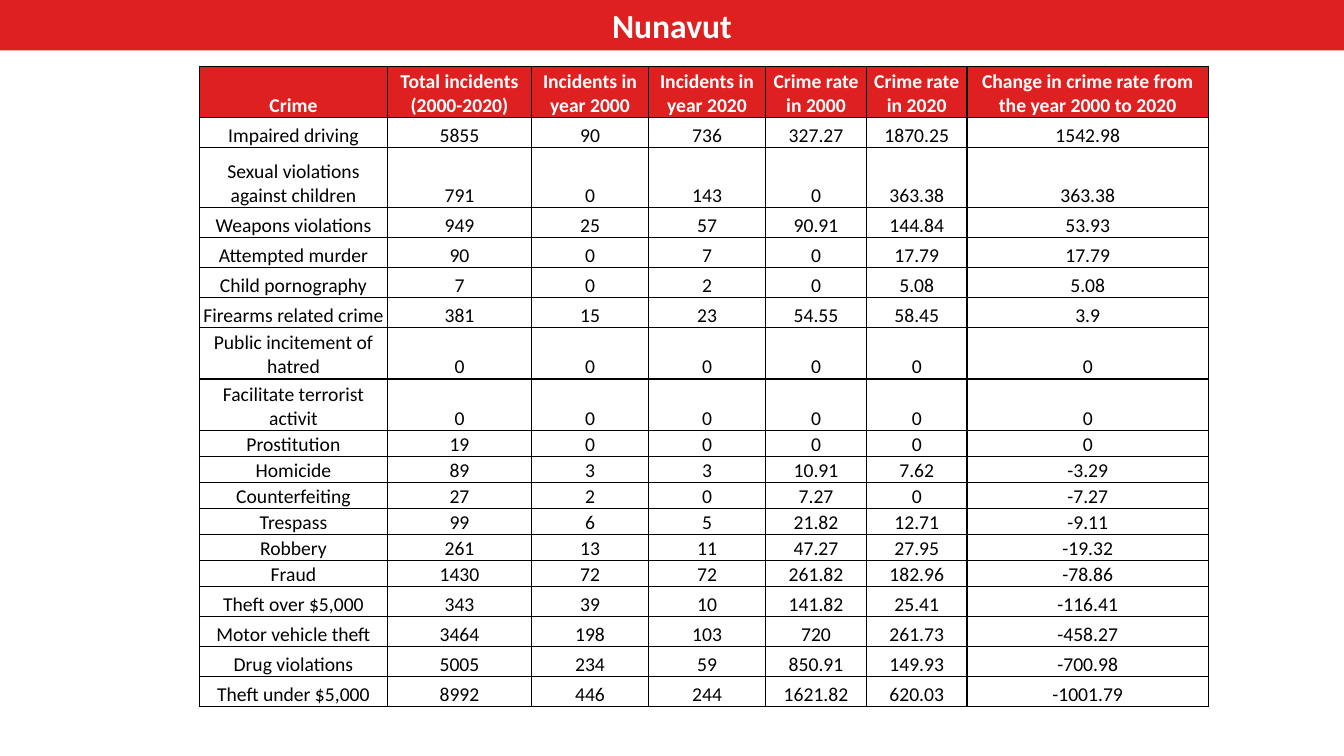
"""Build the Nunavut crime statistics slide."""

import dataclasses
import typing

import lxml.etree
import pptx
import pptx.dml.color
import pptx.enum.text
import pptx.oxml.ns
import pptx.util

COLOURS = {"red": "DF2020", "white": "FFFFFF", "black": "000000"}
FONT_NAME = "Calibri"
SLIDE_WIDTH, SLIDE_HEIGHT = 960, 540
TITLE_HEIGHT = 36
TABLE_LEFT, TABLE_TOP = 142.5, 47.5
COLUMN_WIDTHS = [134.3, 102.9, 83.6, 83.6, 72.1, 71.8, 172.5]
HEADER_HEIGHT, TALL, ROOMY, COMPACT = 36.6, 42.6, 21.5, 18.6
HEADINGS = (
    "Crime",
    "Total incidents (2000-2020)",
    "Incidents in year 2000",
    "Incidents in year 2020",
    "Crime rate in 2000",
    "Crime rate in 2020",
    "Change in crime rate from the year 2000 to 2020",
)
CELL_FORMAT = {
    "margin_left": pptx.util.Pt(0.75),
    "margin_right": pptx.util.Pt(0.75),
    "margin_top": pptx.util.Pt(0.75),
    "margin_bottom": pptx.util.Pt(0),
    "vertical_anchor": pptx.enum.text.MSO_ANCHOR.BOTTOM,
}


@dataclasses.dataclass(frozen=True)
class TableRow:
    """Values of one table row and its height in points."""

    height: float
    values: tuple[str | int | float, ...]


@dataclasses.dataclass(frozen=True)
class TextStyle:
    """Size, colour and weight of a text."""

    size: float
    colour: str
    bold: bool


TITLE_STYLE = TextStyle(24, "white", True)
HEADER_STYLE = TextStyle(14, "white", True)
BODY_STYLE = TextStyle(14, "black", False)

ROWS = [
    TableRow(HEADER_HEIGHT, HEADINGS),
    TableRow(ROOMY, ("Impaired driving", 5855, 90, 736, 327.27, 1870.25, 1542.98)),
    TableRow(TALL, ("Sexual violations against children", 791, 0, 143, 0, 363.38, 363.38)),
    TableRow(ROOMY, ("Weapons violations", 949, 25, 57, 90.91, 144.84, 53.93)),
    TableRow(ROOMY, ("Attempted murder", 90, 0, 7, 0, 17.79, 17.79)),
    TableRow(ROOMY, ("Child pornography", 7, 0, 2, 0, 5.08, 5.08)),
    TableRow(ROOMY, ("Firearms related crime", 381, 15, 23, 54.55, 58.45, 3.9)),
    TableRow(HEADER_HEIGHT, ("Public incitement of hatred", 0, 0, 0, 0, 0, 0)),
    TableRow(HEADER_HEIGHT, ("Facilitate terrorist activit", 0, 0, 0, 0, 0, 0)),
    TableRow(COMPACT, ("Prostitution", 19, 0, 0, 0, 0, 0)),
    TableRow(COMPACT, ("Homicide", 89, 3, 3, 10.91, 7.62, -3.29)),
    TableRow(COMPACT, ("Counterfeiting", 27, 2, 0, 7.27, 0, -7.27)),
    TableRow(COMPACT, ("Trespass", 99, 6, 5, 21.82, 12.71, -9.11)),
    TableRow(COMPACT, ("Robbery", 261, 13, 11, 47.27, 27.95, -19.32)),
    TableRow(COMPACT, ("Fraud", 1430, 72, 72, 261.82, 182.96, -78.86)),
    TableRow(ROOMY, ("Theft over $5,000", 343, 39, 10, 141.82, 25.41, -116.41)),
    TableRow(ROOMY, ("Motor vehicle theft", 3464, 198, 103, 720, 261.73, -458.27)),
    TableRow(ROOMY, ("Drug violations", 5005, 234, 59, 850.91, 149.93, -700.98)),
    TableRow(ROOMY, ("Theft under $5,000", 8992, 446, 244, 1621.82, 620.03, -1001.79)),
]


def apply_format(target: typing.Any, values: dict[str, typing.Any]) -> None:
    """Set each named attribute on the target."""
    for name, value in values.items():
        setattr(target, name, value)


def rgb(colour: str) -> pptx.dml.color.RGBColor:
    """Return the named colour."""
    return pptx.dml.color.RGBColor.from_string(COLOURS[colour])


def fill_solid(target: typing.Any, colour: str) -> None:
    """Fill a shape or cell with the named colour."""
    target.fill.solid()
    target.fill.fore_color.rgb = rgb(colour)


def write_text(text_frame: typing.Any, text: str, style: TextStyle) -> None:
    """Write one centred paragraph in the given style."""
    paragraph = text_frame.paragraphs[0]
    paragraph.alignment = pptx.enum.text.PP_ALIGN.CENTER
    run = paragraph.add_run()
    run.text = text
    apply_format(
        run.font,
        {"name": FONT_NAME, "size": pptx.util.Pt(style.size), "bold": style.bold},
    )
    run.font.color.rgb = rgb(style.colour)


def add_borders(cell: typing.Any) -> None:
    """Draw a thin black line on all four sides of a cell."""
    qualify = pptx.oxml.ns.qn
    properties = cell._tc.get_or_add_tcPr()
    for side in ("lnL", "lnR", "lnT", "lnB"):
        line = lxml.etree.SubElement(
            properties, qualify(f"a:{side}"), w=str(int(pptx.util.Pt(1)))
        )
        fill = lxml.etree.SubElement(line, qualify("a:solidFill"))
        lxml.etree.SubElement(fill, qualify("a:srgbClr"), val=COLOURS["black"])


def draw_title(slide: typing.Any, text: str) -> None:
    """Turn the title placeholder into a red bar across the top."""
    title = slide.shapes.title
    apply_format(
        title,
        {
            "left": pptx.util.Pt(0),
            "top": pptx.util.Pt(0),
            "width": pptx.util.Pt(SLIDE_WIDTH),
            "height": pptx.util.Pt(TITLE_HEIGHT),
        },
    )
    fill_solid(title, "red")
    apply_format(
        title.text_frame,
        {
            "auto_size": pptx.enum.text.MSO_AUTO_SIZE.NONE,
            "vertical_anchor": pptx.enum.text.MSO_ANCHOR.MIDDLE,
            "word_wrap": True,
        },
    )
    write_text(title.text_frame, text, TITLE_STYLE)


def draw_table(slide: typing.Any, rows: list[TableRow]) -> None:
    """Draw the crime table with its red header row."""
    table = slide.shapes.add_table(
        len(rows),
        len(COLUMN_WIDTHS),
        pptx.util.Pt(TABLE_LEFT),
        pptx.util.Pt(TABLE_TOP),
        pptx.util.Pt(sum(COLUMN_WIDTHS)),
        pptx.util.Pt(sum(row.height for row in rows)),
    ).table
    table.horz_banding = False
    for column, width in zip(table.columns, COLUMN_WIDTHS):
        column.width = pptx.util.Pt(width)
    for row_index, row in enumerate(rows):
        table.rows[row_index].height = pptx.util.Pt(row.height)
        is_header = row_index == 0
        for column_index, value in enumerate(row.values):
            cell = table.cell(row_index, column_index)
            apply_format(cell, CELL_FORMAT)
            add_borders(cell)
            fill_solid(cell, "red" if is_header else "white")
            write_text(cell.text_frame, str(value), HEADER_STYLE if is_header else BODY_STYLE)


def main() -> None:
    """Build and save the presentation."""
    presentation = pptx.Presentation()
    presentation.slide_width = pptx.util.Pt(SLIDE_WIDTH)
    presentation.slide_height = pptx.util.Pt(SLIDE_HEIGHT)
    slide = presentation.slides.add_slide(presentation.slide_layouts.get_by_name("Title Only"))
    draw_title(slide, "Nunavut")
    draw_table(slide, ROWS)
    presentation.save("out.pptx")


if __name__ == "__main__":
    main()
